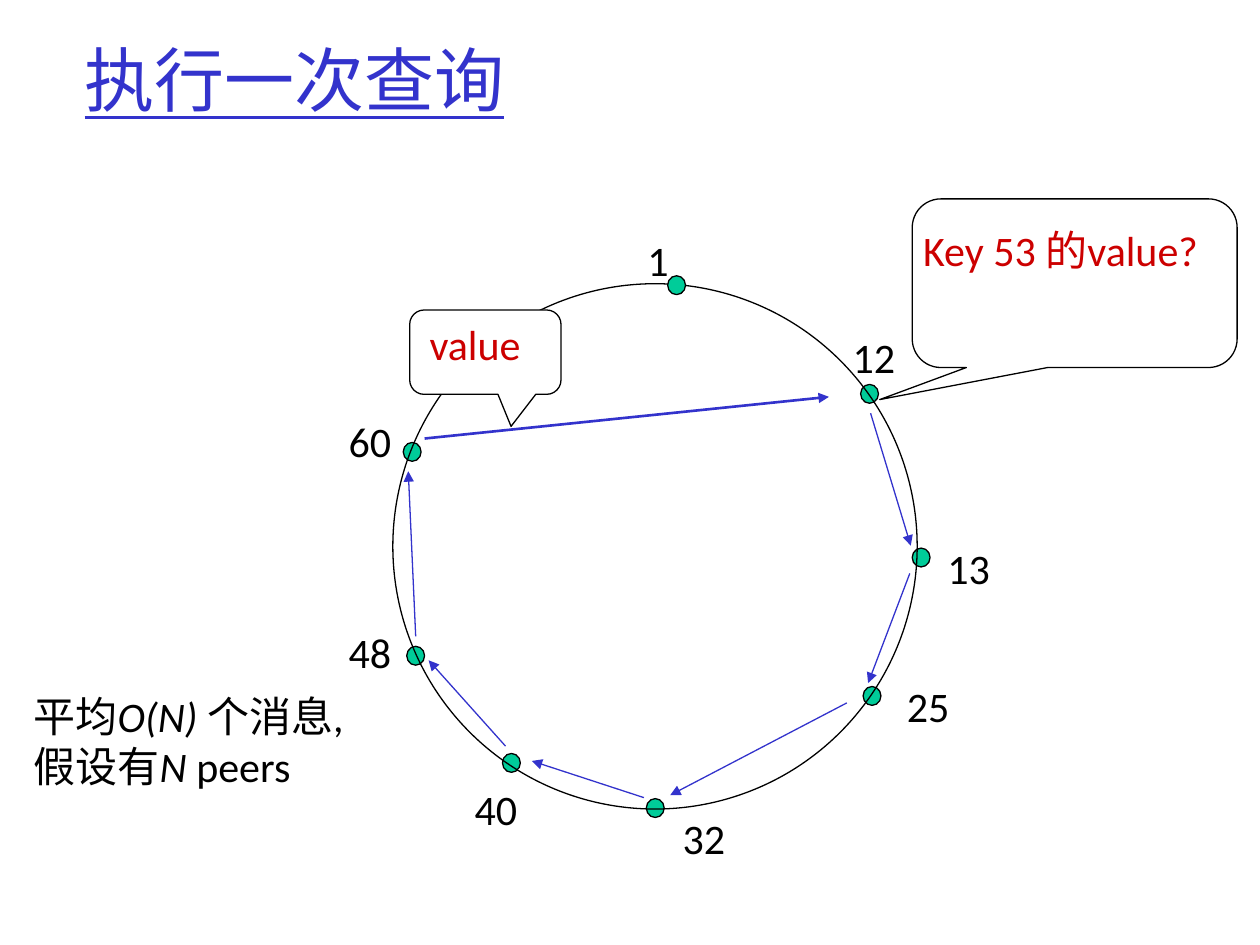
from dataclasses import dataclass

from lxml.etree import SubElement
from pptx import Presentation
from pptx.dml.color import RGBColor
from pptx.enum.shapes import MSO_CONNECTOR, MSO_SHAPE
from pptx.enum.text import MSO_ANCHOR, PP_ALIGN
from pptx.oxml.ns import qn
from pptx.util import Cm, Pt


@dataclass(frozen=True)
class Theme:
    ink: str = "000000"
    blue: str = "3333CC"
    red: str = "CC0000"
    green: str = "00CC99"
    white: str = "FFFFFF"
    latin: str = "Calibri"
    asian: str = "Noto Sans CJK SC"
    head: int = 40
    body: int = 24
    thin: float = 0.75
    thick: float = 1.5


THEME = Theme()

# Peer: dot left and top, label left and top
PEERS = {
    "1": (13.46, 5.56, 12.8, 4.6),
    "12": (17.35, 7.75, 16.94, 6.55),
    "13": (18.39, 11.05, 18.85, 10.82),
    "25": (17.4, 13.84, 18.03, 13.59),
    "32": (13.03, 16.1, 13.51, 16.26),
    "40": (10.13, 15.19, 9.32, 15.67),
    "48": (8.2, 13.03, 6.78, 12.5),
    "60": (8.13, 8.92, 6.78, 8.26),
}

# Hops of the query from peer 12 round to peer 60
HOPS = [
    (17.55, 8.33, 18.36, 11),
    (18.34, 11.56, 17.5, 13.77),
    (17.07, 14.17, 13.51, 16.03),
    (12.98, 16.08, 10.72, 15.34),
    (10.19, 15.04, 8.64, 13.31),
    (8.38, 12.83, 8.23, 9.5),
]
REPLY = (8.56, 8.84, 16.71, 8)

# Each paragraph is a list of (text, italic)
NOTE = [
    [("平均", False), ("O(N) ", True), ("个消息,", False)],
    [("假设有", False), ("N", True), (" peers", False)],
]


def tint(name):
    return RGBColor.from_string(name)


def style(run, color, size=THEME.body, latin=THEME.latin):
    font = run.font
    font.size = Pt(size)
    font.name = latin
    font.color.rgb = tint(color)
    SubElement(run.font._element, qn("a:ea"), typeface=THEME.asian)


def add_title(slide, text):
    title = slide.shapes.title
    title.left, title.top, title.width, title.height = map(Cm, (1.45, 0, 21.59, 3.18))
    frame = title.text_frame
    frame.text = text
    frame.vertical_anchor = MSO_ANCHOR.MIDDLE
    line = frame.paragraphs[0]
    line.alignment = PP_ALIGN.LEFT
    style(line.runs[0], THEME.blue, THEME.head, THEME.asian)
    line.runs[0].font.underline = True


def add_shape(slide, kind, box, fill=None):
    shape = slide.shapes.add_shape(kind, *map(Cm, box))
    shape.shadow.inherit = False
    if fill:
        shape.fill.solid()
        shape.fill.fore_color.rgb = tint(fill)
    else:
        shape.fill.background()
    shape.line.color.rgb = tint(THEME.ink)
    shape.line.width = Pt(THEME.thin)
    return shape


def add_dot(slide, left, top):
    add_shape(slide, MSO_SHAPE.OVAL, (left, top, 0.36, 0.38), THEME.green)


def add_bubble(slide, box, tip, fill=None):
    """Add a rounded callout whose tip is given relative to its size."""
    shape = add_shape(slide, MSO_SHAPE.ROUNDED_RECTANGULAR_CALLOUT, box, fill)
    for index, value in enumerate(tip):
        shape.adjustments[index] = value


def add_text(slide, box, lines, color=THEME.ink, wrap=True, pitch=None):
    """Add paragraphs of (text, italic) runs, with an optional line pitch."""
    frame = slide.shapes.add_textbox(*map(Cm, box)).text_frame
    frame.word_wrap = wrap
    for index, parts in enumerate(lines):
        para = frame.add_paragraph() if index else frame.paragraphs[0]
        if index:
            para.space_before = Pt(5)
        if pitch:
            para.line_spacing = Pt(pitch)
        for text, slant in parts:
            run = para.add_run()
            run.text = text
            style(run, color)
            run.font.italic = slant


def add_label(slide, text, left, top):
    width = 0.94 if len(text) == 1 else 1.37
    add_text(slide, (left, top, width, 1.3), [[(text, False)]], wrap=False)


def add_arrow(slide, ends, width=THEME.thin):
    arrow = slide.shapes.add_connector(MSO_CONNECTOR.STRAIGHT, *map(Cm, ends))
    arrow.line.color.rgb = tint(THEME.blue)
    arrow.line.width = Pt(width)
    SubElement(arrow.line._get_or_add_ln(), qn("a:tailEnd"), type="triangle")
    SubElement(arrow._element.spPr, qn("a:effectLst"))


def add_ring(slide):
    """Draw the circle over all dots but the first, then the labels."""
    first, *rest = PEERS.values()
    for left, top, *_ in rest:
        add_dot(slide, left, top)
    add_shape(slide, MSO_SHAPE.OVAL, (7.92, 5.72, 10.57, 10.59))
    add_dot(slide, *first[:2])
    for name, (*_, left, top) in PEERS.items():
        add_label(slide, name, left, top)


def main():
    deck = Presentation()
    deck.slide_width, deck.slide_height = Cm(25.4), Cm(19.05)
    slide = deck.slides.add_slide(deck.slide_layouts[5])
    add_title(slide, "执行一次查询")
    add_ring(slide)

    add_bubble(slide, (18.39, 4.01, 6.55, 3.4), (-0.6, 0.69, 0.17))
    add_text(slide, (18.36, 4.72, 6.58, 0.97), [[("Key 53 的value?", False)]],
             THEME.red, pitch=20)
    for hop in HOPS:
        add_arrow(slide, hop)

    add_arrow(slide, REPLY, THEME.thick)
    add_bubble(slide, (8.26, 6.25, 3.05, 1.7), (0.17, 0.88, 0.17), THEME.white)
    add_text(slide, (8.41, 6.3, 3.61, 1.3), [[("value", False)]], THEME.red)
    add_text(slide, (0.43, 13.97, 7.01, 2.16), NOTE, pitch=23.8)
    deck.save("out.pptx")


if __name__ == "__main__":
    main()
